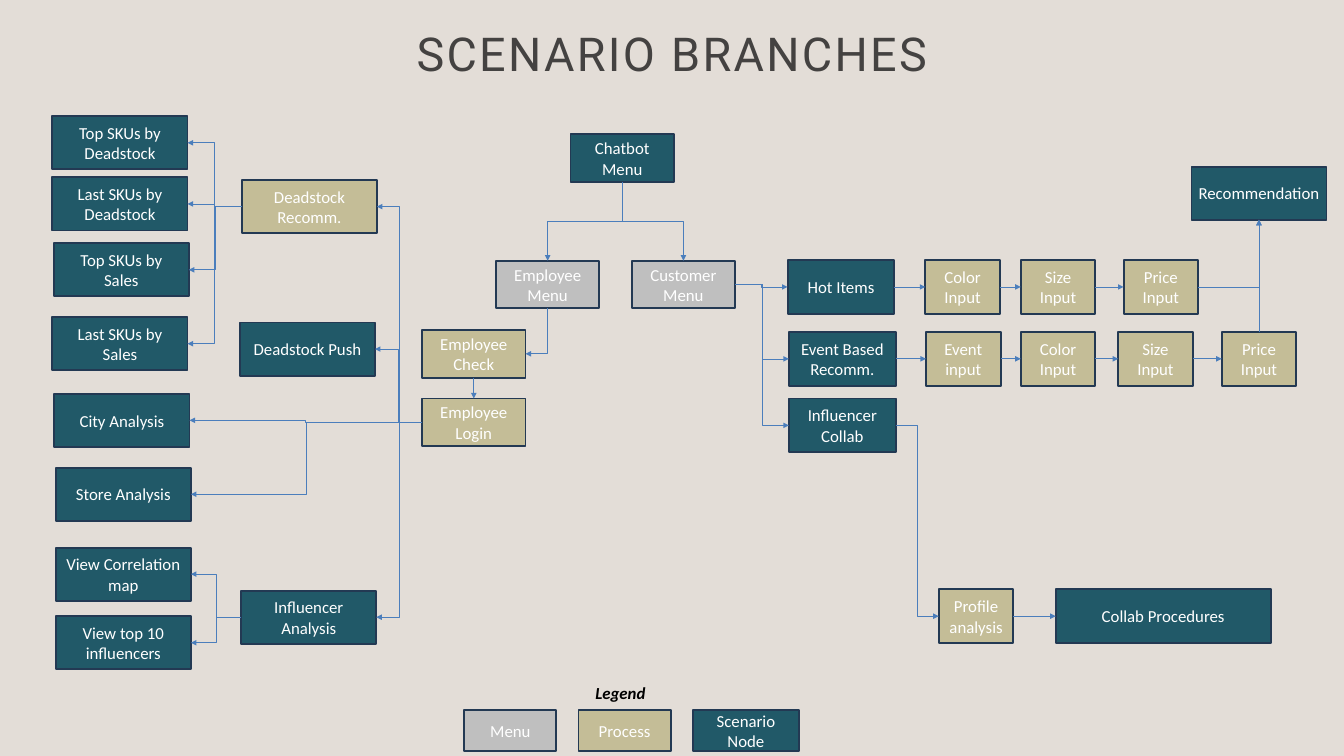
"""Build a one-slide flow chart of chatbot scenario branches."""
import pptx
import pptx.dml.color
import pptx.enum.shapes
import pptx.enum.text
import pptx.oxml
import pptx.oxml.ns
import pptx.util

Inches = pptx.util.Inches
Pt = pptx.util.Pt
RGBColor = pptx.dml.color.RGBColor
Align = pptx.enum.text.PP_ALIGN
Anchor = pptx.enum.text.MSO_ANCHOR
Shape = pptx.enum.shapes.MSO_SHAPE
Wire = pptx.enum.shapes.MSO_CONNECTOR
qn = pptx.oxml.ns.qn

PAPER = RGBColor(0xE3, 0xDD, 0xD7)
INK = RGBColor(0x44, 0x42, 0x41)
BLACK = RGBColor(0, 0, 0)
WHITE = RGBColor(0xFF, 0xFF, 0xFF)
EDGE = RGBColor(0x23, 0x39, 0x53)
BLUE = RGBColor(0x4B, 0x7E, 0xBC)
GREY = RGBColor(0xBF, 0xBF, 0xBF)
SAND = RGBColor(0xC4, 0xBD, 0x97)
TEAL = RGBColor(0x21, 0x59, 0x68)

TOP, LEFT, BOTTOM, RIGHT = range(4)

GROUPS = [
    (TEAL, 2.01, 0.79, [
        ("top_dead", "Top SKUs by Deadstock", 0.78, 1.73),
        ("last_dead", "Last SKUs by Deadstock", 0.78, 2.64),
        ("top_sales", "Top SKUs by\nSales", 0.8, 3.62),
        ("last_sales", "Last SKUs by\nSales", 0.78, 4.72),
        ("city", "City Analysis", 0.81, 5.86),
        ("store", "Store Analysis", 0.83, 6.96),
        ("map", "View Correlation map", 0.83, 8.15),
        ("top_ten", "View top 10 influencers", 0.83, 9.17),
        ("push", "Deadstock Push", 3.57, 4.8),
        ("influence", "Influencer Analysis", 3.59, 8.79),
        ("advice", "Recommendation", 17.73, 2.48),
    ]),
    (SAND, 2.01, 0.79, [("dead", "Deadstock Recomm.", 3.6, 2.68)]),
    (TEAL, 1.54, 0.71, [("chatbot", "Chatbot Menu", 8.49, 2)]),
    (GREY, 1.54, 0.71, [
        ("staff", "Employee\nMenu", 7.38, 3.88),
        ("client", "Customer Menu", 9.4, 3.88),
    ]),
    (SAND, 1.54, 0.71, [
        ("check", "Employee Check", 6.28, 4.91),
        ("login", "Employee Login", 6.28, 5.93),
    ]),
    (TEAL, 1.59, 0.8, [
        ("hot", "Hot Items", 11.72, 3.87),
        ("event", "Event Based Recomm.", 11.74, 4.94),
        ("collab", "Influencer Collab", 11.74, 5.93),
    ]),
    (SAND, 1.11, 0.8, [
        ("hot_color", "Color\nInput", 13.77, 3.87),
        ("hot_size", "Size Input", 15.19, 3.87),
        ("hot_price", "Price Input", 16.72, 3.87),
        ("event_in", "Event input", 13.78, 4.94),
        ("event_color", "Color\nInput", 15.19, 4.94),
        ("event_size", "Size Input", 16.64, 4.94),
        ("event_price", "Price Input", 18.18, 4.94),
        ("profile", "Profile analysis", 13.97, 8.77),
    ]),
    (TEAL, 3.2, 0.8, [("steps", "Collab Procedures", 15.71, 8.77)]),
    (GREY, 1.37, 0.6, [("key_menu", "Menu", 6.91, 10.57)]),
    (SAND, 1.37, 0.6, [("key_proc", "Process", 8.61, 10.57)]),
    (TEAL, 1.58, 0.6, [("key_node", "Scenario Node", 10.31, 10.57)]),
]

FANS = [
    ("chatbot", BOTTOM, TOP, ["staff", "client"]),
    ("staff", BOTTOM, RIGHT, ["check"]),
    ("check", BOTTOM, TOP, ["login"]),
    ("login", LEFT, RIGHT, ["dead", "push", "city", "store", "influence"]),
    ("dead", LEFT, RIGHT, ["top_dead", "last_dead", "top_sales", "last_sales"]),
    ("influence", LEFT, RIGHT, ["map", "top_ten"]),
    ("client", RIGHT, LEFT, ["hot", "event", "collab"]),
    ("collab", RIGHT, LEFT, ["profile"]),
    ("hot_price", RIGHT, BOTTOM, ["advice"]),
    ("event_price", TOP, BOTTOM, ["advice"]),
]
CHAINS = [
    ["hot", "hot_color", "hot_size", "hot_price"],
    ["event", "event_in", "event_color", "event_size", "event_price"],
    ["profile", "steps"],
]


def write(frame, text, size=18, face="Calibri", color=WHITE, align=Align.CENTER,
          anchor=Anchor.MIDDLE, bold=False, italic=False, lead=None, track=None):
    frame.word_wrap = True
    frame.vertical_anchor = anchor
    frame.text = text
    for para in frame.paragraphs:
        para.alignment = align
        para.line_spacing = lead
        for run in para.runs:
            font = run.font
            font.size, font.name = Pt(size), face
            font.bold, font.italic = bold, italic
            font.color.rgb = color
            if track:
                run._r.get_or_add_rPr().set("spc", str(int(track * 100)))


def box(slide, text, fill, *place):
    shape = slide.shapes.add_shape(Shape.RECTANGLE, *map(Inches, place))
    shape.shadow.inherit = False
    shape.fill.solid()
    shape.fill.fore_color.rgb = fill
    shape.line.color.rgb = EDGE
    shape.line.width = Pt(2)
    write(shape.text_frame, text)
    return shape


def port(shape, side):
    across = {LEFT: 0, RIGHT: 2}.get(side, 1)
    down = {TOP: 0, BOTTOM: 2}.get(side, 1)
    return (shape.left + shape.width * across // 2,
            shape.top + shape.height * down // 2)


def turn(wire, start, end):
    (x1, y1), (x2, y2) = start, end
    wide, high = abs(y2 - y1), abs(x2 - x1)
    wire.left, wire.top = (x1 + x2 - wide) // 2, (y1 + y2 - high) // 2
    wire.width, wire.height = wide, high
    frame = wire._element.spPr.find(qn("a:xfrm"))
    frame.attrib.pop("flipH", None)
    frame.set("rot", "5400000")
    frame.set("flipV", "1" if x2 > x1 else "0")


def link(slide, tail, out, head, into):
    start, end = port(tail, out), port(head, into)
    gap = min(abs(a - b) for a, b in zip(start, end))
    flat = gap < Inches(0.02)
    kind = Wire.STRAIGHT if flat else Wire.ELBOW
    wire = slide.shapes.add_connector(kind, *start, *end)
    wire.begin_connect(tail, out)
    wire.end_connect(head, into)
    props = wire._element.spPr
    if not flat:
        if out % 2 != into % 2:
            props.find(qn("a:prstGeom")).set("prst", "bentConnector2")
        if out == BOTTOM:
            turn(wire, start, end)
    wire.line.color.rgb = BLUE
    wire.line.width = Pt(0.75)
    line = props.find(qn("a:ln"))
    line.append(pptx.oxml.parse_xml(
        f'<a:tailEnd {pptx.oxml.ns.nsdecls("a")} type="triangle"/>'))
    props.append(pptx.oxml.parse_xml(
        f'<a:effectLst {pptx.oxml.ns.nsdecls("a")}/>'))


def main():
    deck = pptx.Presentation()
    deck.slide_width, deck.slide_height = Inches(20), Inches(11.25)
    slide = deck.slides.add_slide(deck.slide_layouts[5])
    slide.background.fill.solid()
    slide.background.fill.fore_color.rgb = PAPER

    title = slide.shapes.title
    title.left, title.top = Inches(2.12), Inches(0.51)
    title.width, title.height = Inches(15.76), Inches(0.71)
    frame = title.text_frame
    frame.margin_left = frame.margin_right = 0
    frame.margin_top = frame.margin_bottom = 0
    write(frame, "SCENARIO BRANCHES", size=50, face="Roboto", color=INK,
          anchor=Anchor.TOP, lead=Pt(50), track=2.5)

    nodes = {}
    for fill, wide, high, group in GROUPS:
        for name, text, left, top in group:
            nodes[name] = box(slide, text, fill, left, top, wide, high)

    for tail, out, into, heads in FANS:
        for head in heads:
            link(slide, nodes[tail], out, nodes[head], into)
    for chain in CHAINS:
        for tail, head in zip(chain, chain[1:]):
            link(slide, nodes[tail], RIGHT, nodes[head], LEFT)

    place = map(Inches, (8.76, 10.11, 1.12, 0.4))
    legend = slide.shapes.add_textbox(*place)
    write(legend.text_frame, "Legend", color=BLACK, align=Align.LEFT,
          anchor=Anchor.TOP, bold=True, italic=True)
    deck.save("out.pptx")


if __name__ == "__main__":
    main()
